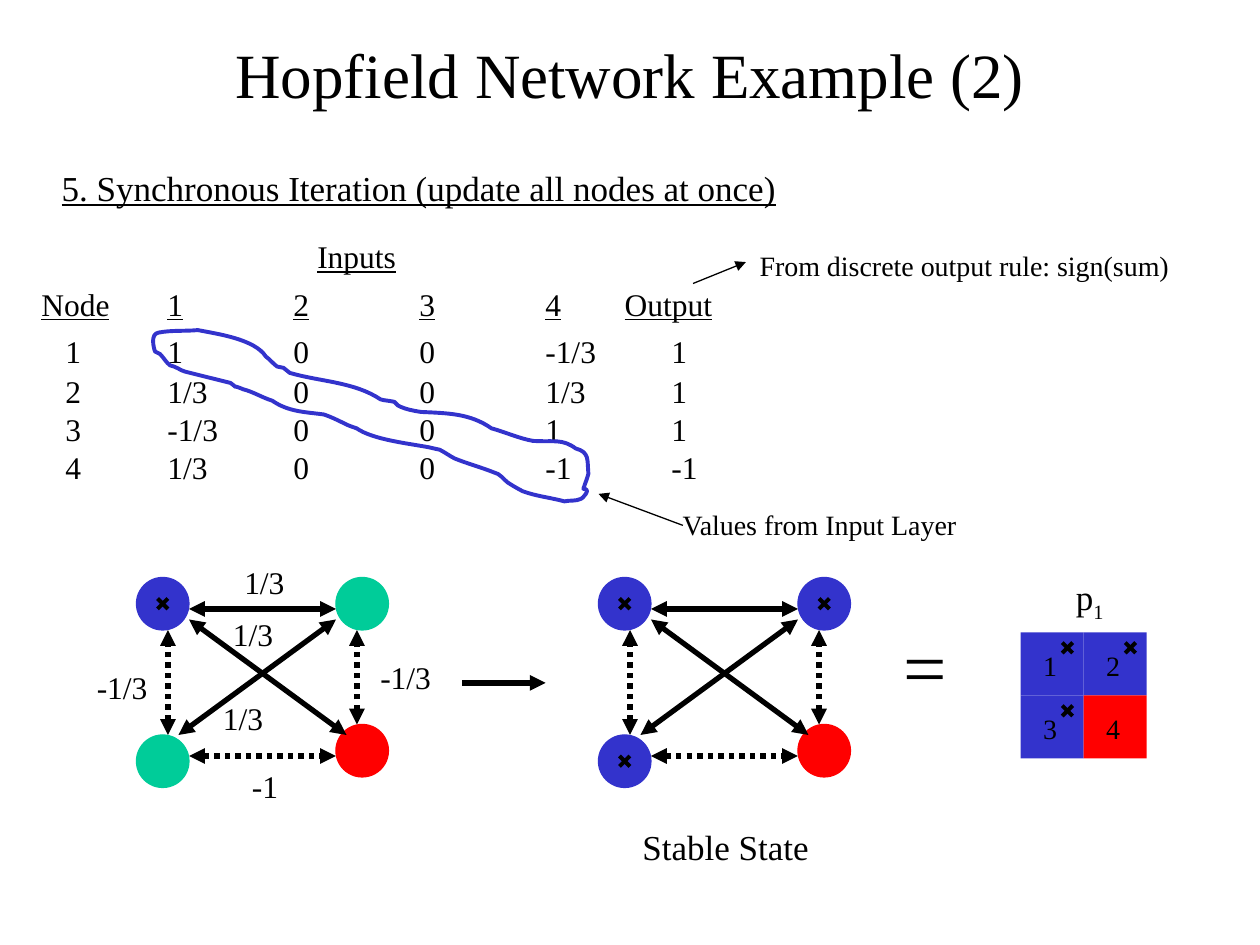
import pptx
import pptx.util
import pptx.dml.color
import pptx.enum.dml
import pptx.enum.shapes
import pptx.enum.text
import pptx.oxml
import pptx.oxml.ns
from lxml import etree

COLORS = {"black": "000000", "blue": "3333CC", "green": "00CC99", "red": "FF0000"}
FONT = "Times New Roman"
UNIT = 1 / 12
NODE = 5

TITLE = ("Hopfield Network Example (2)", 0.75, 0.33, 8.5, 0.5, 36)
LABELS = [
    ("5. Synchronous Iteration (update all nodes at once)", 0.39, 1.27, 5.87, 0.44, 20, True),
    ("Inputs", 2.42, 1.83, 0.83, 0.4, 18, True),
    ("-1", 1.9, 6.04, 0.41, 0.4, 18, False),
    ("-1/3", 0.67, 5.25, 0.6, 0.4, 18, False),
    ("1/3", 1.67, 5.5, 0.52, 0.4, 18, False),
    ("1/3", 1.75, 4.83, 0.52, 0.4, 18, False),
    ("-1/3", 2.92, 5.17, 0.6, 0.4, 18, False),
    ("1/3", 1.84, 4.42, 0.52, 0.4, 18, False),
    ("Stable State", 5, 6.5, 1.52, 0.44, 20, False),
    ("=", 7.07, 4.86, 0.54, 0.84, 44, False),
    ("Values from Input Layer", 5.32, 3.98, 2.39, 0.37, 16, False),
    ("From discrete output rule: sign(sum)", 5.93, 1.92, 3.45, 0.37, 16, False),
]
HEADER = ["Node", "1", "2", "3", "4", "Output"]
ROWS = [
    ["1", "1", "0", "0", "-1/3", "1"],
    ["2", "1/3", "0", "0", "1/3", "1"],
    ["3", "-1/3", "0", "0", "1", "1"],
    ["4", "1/3", "0", "0", "-1", "-1"],
]
HEADER_TABS = [1, 2, 3, 4, 4.63]
ROW_TABS = [0.19, 1, 2, 3, 4, 5]

NODES = [(0, 55), (0, 70), (19, 69), (19, 55)]
EDGES = [
    (4, 70, 19, 59, False), (5, 58, 19, 58, False), (3, 70, 3, 60, True),
    (5, 59, 20, 70, False), (5, 72, 19, 72, True), (21, 69, 21, 60, True),
]
NETWORKS = [
    (13, ["blue", "green", "red", "green"], [0]),
    (57, ["blue", "blue", "red", "blue"], [0, 1, 3]),
]
PATTERN = [("1", "blue", True), ("2", "blue", True), ("3", "blue", True), ("4", "red", False)]
PATTERN_LEFT, PATTERN_TOP, CELL = 8.1, 5.02, 0.5
POINTERS = [
    (3.67, 5.42, 4.33, 5.42, 3),
    (5.42, 4.17, 4.75, 3.92, 0.74),
    (5.5, 2.25, 5.92, 2.08, 0.74),
]
LOOP_START = (4.63, 3.88)
LOOP_CURVES = [
    (4.66, 3.79, 4.65, 3.83, 4.67, 3.76), (4.66, 3.65, 4.68, 3.59, 4.57, 3.56),
    (4.46, 3.48, 4.4, 3.51, 4.23, 3.5), (4.12, 3.48, 4.01, 3.43, 3.9, 3.4),
    (3.73, 3.28, 3.55, 3.28, 3.34, 3.27), (3.28, 3.26, 3.22, 3.25, 3.16, 3.22),
    (3.15, 3.21, 3.14, 3.2, 3.13, 3.19), (3.09, 3.18, 3.05, 3.18, 3.02, 3.17),
    (2.81, 3.03, 2.54, 3.03, 2.3, 2.96), (2.28, 2.95, 2.27, 2.93, 2.25, 2.92),
    (2.23, 2.91, 2.22, 2.92, 2.2, 2.91), (2.17, 2.89, 2.14, 2.85, 2.11, 2.83),
    (2.02, 2.69, 1.72, 2.65, 1.57, 2.62), (1.47, 2.63, 1.36, 2.62, 1.26, 2.64),
    (1.19, 2.65, 1.22, 2.76, 1.23, 2.79), (1.24, 2.8, 1.26, 2.8, 1.27, 2.81),
    (1.3, 2.84, 1.32, 2.88, 1.35, 2.9), (1.4, 2.91, 1.43, 2.94, 1.47, 2.95),
    (1.59, 2.98, 1.71, 3.01, 1.83, 3.04), (1.91, 3.1, 1.81, 3.04, 1.93, 3.09),
    (2.01, 3.11, 2.09, 3.16, 2.16, 3.18), (2.29, 3.27, 2.42, 3.27, 2.57, 3.29),
    (2.63, 3.31, 2.69, 3.34, 2.75, 3.37), (2.77, 3.38, 2.83, 3.4, 2.83, 3.4),
    (2.96, 3.49, 3.24, 3.52, 3.4, 3.55), (3.43, 3.56, 3.46, 3.56, 3.49, 3.57),
    (3.53, 3.59, 3.57, 3.62, 3.61, 3.64), (3.71, 3.68, 3.82, 3.71, 3.92, 3.75),
    (3.97, 3.76, 3.99, 3.8, 4.03, 3.83), (4.06, 3.85, 4.11, 3.88, 4.15, 3.9),
    (4.26, 3.94, 4.37, 3.95, 4.48, 3.98), (4.52, 3.97, 4.57, 3.98, 4.61, 3.96),
    (4.62, 3.96, 4.7, 3.88, 4.63, 3.88),
]

inch = pptx.util.Inches
qn = pptx.oxml.ns.qn


def rgb(name):
    return pptx.dml.color.RGBColor.from_string(COLORS[name])


def add_run(p, text, size, underline=False):
    r = p.add_run()
    r.text = text
    style = {"name": FONT, "size": pptx.util.Pt(size), "underline": underline}
    for key, value in style.items():
        setattr(r.font, key, value)
    r.font.color.rgb = rgb("black")
    return r


def add_text(text, x, y, w, h, size, underline=False):
    tf = shapes.add_textbox(*map(inch, (x, y, w, h))).text_frame
    tf.word_wrap = False
    tf.auto_size = pptx.enum.text.MSO_AUTO_SIZE.SHAPE_TO_FIT_TEXT
    add_run(tf.paragraphs[0], text, size, underline)
    return tf


def set_tabs(p, stops):
    tabs = etree.SubElement(p._p.get_or_add_pPr(), qn("a:tabLst"))
    for stop in stops:
        etree.SubElement(tabs, qn("a:tab"), pos=str(inch(stop)), algn="l")


def add_line(x1, y1, x2, y2, width, ends=(), dotted=False):
    kind = pptx.enum.shapes.MSO_CONNECTOR.STRAIGHT
    sp = shapes.add_connector(kind, *map(inch, (x1, y1, x2, y2)))
    sp.line.width = pptx.util.Pt(width)
    sp.line.color.rgb = rgb("black")
    if dotted:
        sp.line.dash_style = pptx.enum.dml.MSO_LINE.ROUND_DOT
    spPr = sp._element.spPr
    for end in ends:
        etree.SubElement(spPr.find(qn("a:ln")), qn("a:" + end), type="triangle")
    etree.SubElement(spPr, qn("a:effectLst"))


def add_cross(x, y):
    add_line(x, y, x + UNIT, y + UNIT, 2.24)
    add_line(x + UNIT, y, x, y + UNIT, 2.24)


def add_block(kind, x, y, size, color):
    sp = shapes.add_shape(kind, *map(inch, (x, y, size, size)))
    sp.shadow.inherit = False
    sp.fill.solid()
    sp.fill.fore_color.rgb = rgb(color)
    sp.line.fill.background()
    return sp


def add_network(left, colors, crossed):
    for (x, y), color in zip(NODES, colors):
        sp = add_block(pptx.enum.shapes.MSO_SHAPE.OVAL,
                       (left + x) * UNIT, y * UNIT, NODE * UNIT, color)
        sp.line.color.rgb = rgb(color)
        sp.line.width = pptx.util.Pt(0.74)
    for x1, y1, x2, y2, dotted in EDGES:
        add_line((left + x1) * UNIT, y1 * UNIT, (left + x2) * UNIT, y2 * UNIT,
                 3, ("headEnd", "tailEnd"), dotted)
    for i in crossed:
        x, y = NODES[i]
        add_cross((left + x + 2) * UNIT, (y + 2) * UNIT)


def add_curve(start, curves, color, width):
    points = [tuple(map(inch, c[i:i + 2])) for c in curves for i in (0, 2, 4)]
    builder = shapes.build_freeform(*map(inch, start))
    builder.add_line_segments(points, close=True)
    sp = builder.convert_to_shape()
    segments = list(sp._element.iter(qn("a:lnTo")))[:len(points)]
    for i in range(0, len(segments), 3):
        first, *others = segments[i:i + 3]
        first.tag = qn("a:cubicBezTo")
        for segment in others:
            first.append(segment[0])
            segment.getparent().remove(segment)
    sp.shadow.inherit = False
    sp.fill.background()
    sp.line.color.rgb = rgb(color)
    sp.line.width = pptx.util.Pt(width)


prs = pptx.Presentation()
prs.slide_width, prs.slide_height = inch(10), inch(7.5)
shapes = prs.slides.add_slide(prs.slide_layouts[6]).shapes

tf = add_text(*TITLE)
tf.word_wrap = True
tf.auto_size = pptx.enum.text.MSO_AUTO_SIZE.NONE
tf.vertical_anchor = pptx.enum.text.MSO_ANCHOR.MIDDLE
tf.paragraphs[0].alignment = pptx.enum.text.PP_ALIGN.CENTER

tf = add_text("\t".join(HEADER), 0.23, 2.21, 5.6, 1.7, 18, True)
set_tabs(tf.paragraphs[0], HEADER_TABS)
for i, row in enumerate(ROWS):
    p = tf.add_paragraph()
    if i == 0:
        p.space_before, p.space_after = pptx.util.Pt(5.3), pptx.util.Pt(1.6)
    set_tabs(p, ROW_TABS)
    add_run(p, "\t" + "\t".join(row), 18)

for network in NETWORKS:
    add_network(*network)

for i, (digit, color, crossed) in enumerate(PATTERN):
    x, y = PATTERN_LEFT + i % 2 * CELL, PATTERN_TOP + i // 2 * CELL
    add_block(pptx.enum.shapes.MSO_SHAPE.RECTANGLE, x, y, CELL, color)
    add_text(digit, x + 0.08, y + 0.08, 0.31, 0.37, 16)
    if crossed:
        add_cross(x + 0.33, y + 0.08)

tf = add_text("p", 8.44, 4.52, 0.42, 0.48, 20)
r = add_run(tf.paragraphs[0], "1", 20)
r._r.get_or_add_rPr().set("baseline", "-25000")

for label in LABELS:
    add_text(*label)

for *ends, width in POINTERS:
    add_line(*ends, width, ("tailEnd",))

add_curve(LOOP_START, LOOP_CURVES, "blue", 2.24)

prs.save("out.pptx")
